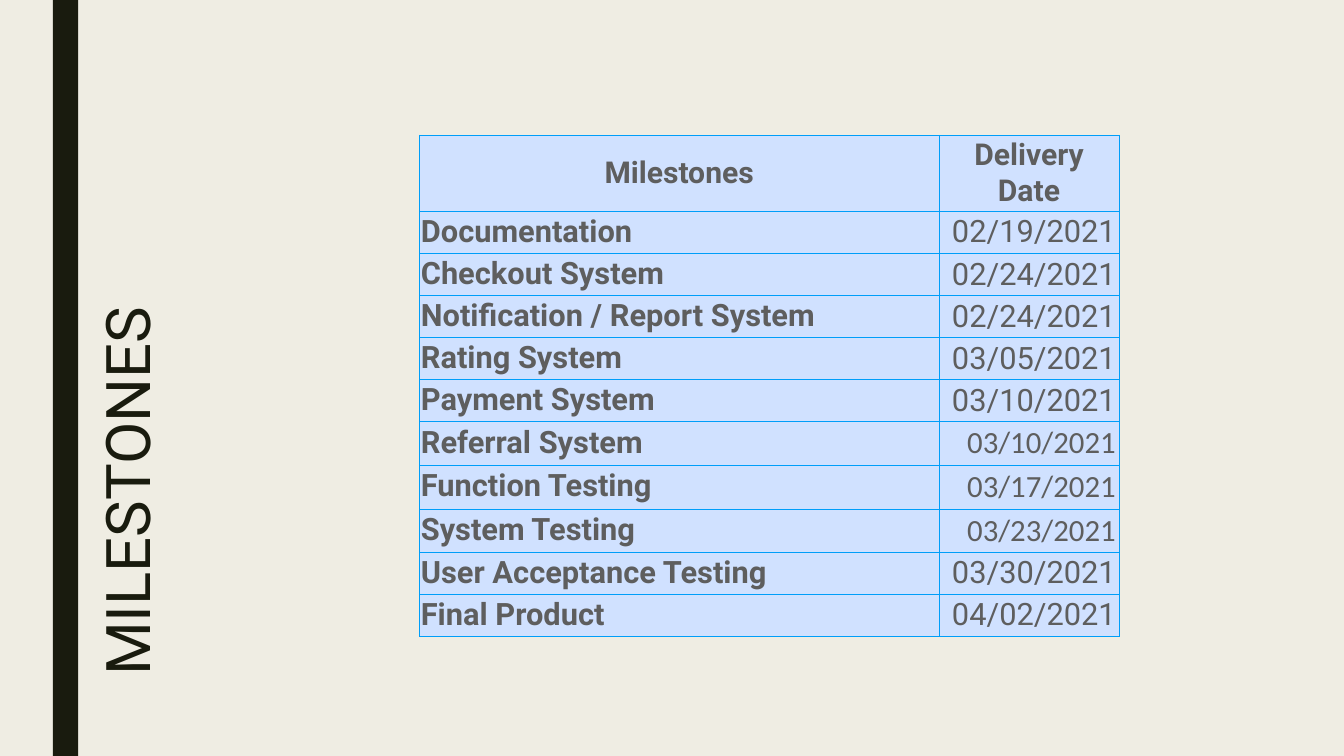
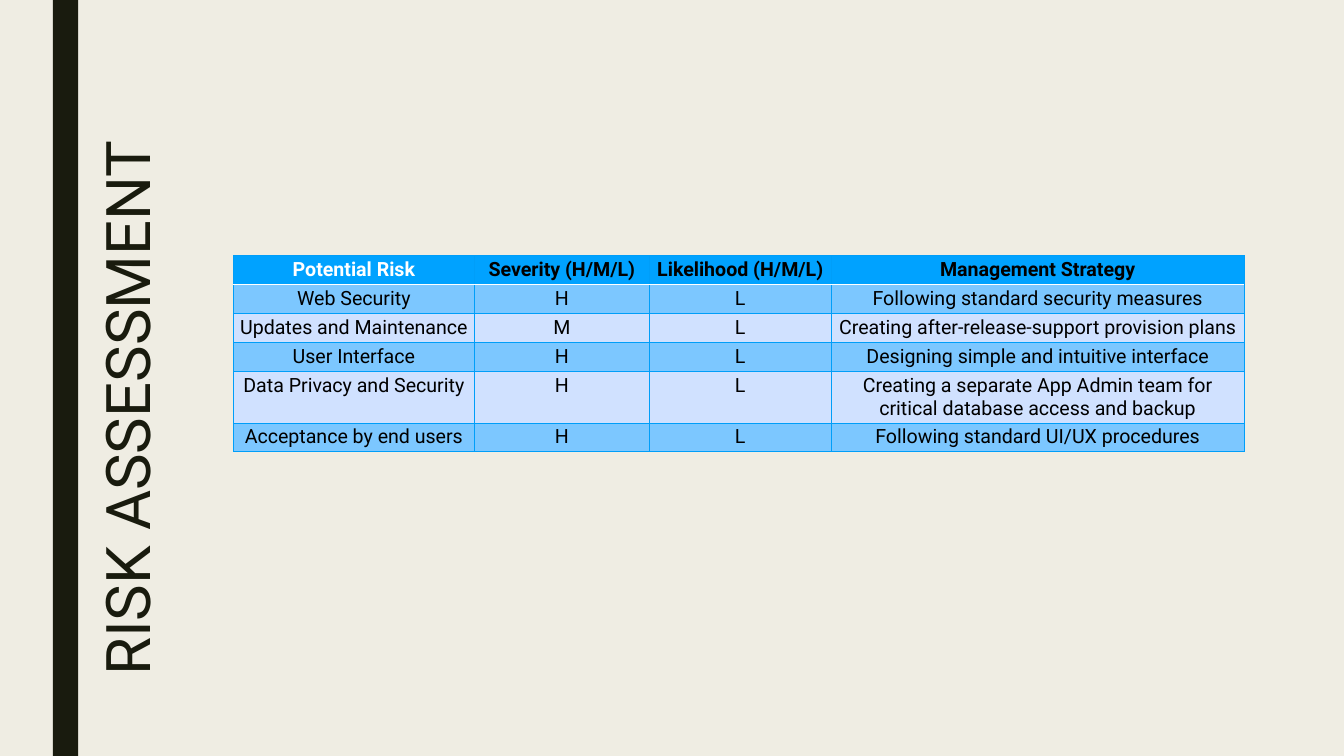
from pptx import Presentation
from pptx.dml.color import RGBColor
from pptx.enum.shapes import MSO_SHAPE
from pptx.enum.text import MSO_ANCHOR, MSO_AUTO_SIZE, PP_ALIGN
from pptx.oxml import parse_xml
from pptx.oxml.ns import nsdecls
from pptx.util import Pt

INK, PAPER, GREY = "191B0E", "EFEDE3", "5E5E5E"
BLACK, WHITE = "000000", "FFFFFF"
LINE, HEAD, BAND, PALE = "009EF9", "00A2FF", "7CC7FF", "D0E1FF"

MILESTONES = [
    ("Milestones", "Delivery Date"),
    ("Documentation", "02/19/2021"),
    ("Checkout System", "02/24/2021"),
    ("Notification / Report System", "02/24/2021"),
    ("Rating System", "03/05/2021"),
    ("Payment System", "03/10/2021"),
    ("Referral System", "03/10/2021"),
    ("Function Testing", "03/17/2021"),
    ("System Testing", "03/23/2021"),
    ("User Acceptance Testing", "03/30/2021"),
    ("Final Product", "04/02/2021"),
]
CALIBRI_ROWS = (6, 7, 8)

RISKS = [
    ("Potential Risk", "Severity (H/M/L)", "Likelihood (H/M/L)", "Management Strategy"),
    ("Web Security", "H", "L", "Following standard security measures"),
    ("Updates and Maintenance", "M", "L", "Creating after-release-support provision plans"),
    ("User Interface", "H", "L", "Designing simple and intuitive interface"),
    ("Data Privacy and Security", "H", "L",
     "Creating a separate App Admin team for critical database access and backup"),
    ("Acceptance by end users", "H", "L", "Following standard UI/UX procedures"),
]


def milestone_format(row, col):
    fmt = {"fill": PALE, "color": GREY, "size": 44, "bold": col == 0,
           "anchor": MSO_ANCHOR.MIDDLE, "align": PP_ALIGN.RIGHT}
    if row == 0:
        fmt.update(size=43, bold=True, align=PP_ALIGN.CENTER)
    elif col == 0:
        fmt.update(align=PP_ALIGN.LEFT, insets=(2.25, 0, 2.25, 2.25))
    elif row in CALIBRI_ROWS:
        fmt["font"] = "Calibri"
    return fmt


def risk_format(row, col):
    fmt = {"fill": BAND if row % 2 else PALE, "color": BLACK, "size": 28, "bold": row == 0,
           "anchor": MSO_ANCHOR.TOP, "align": PP_ALIGN.CENTER}
    if row == 0:
        fmt.update(fill=HEAD, color=BLACK if col else WHITE, borders={"B": (WHITE, 2)})
    elif row == 1:
        fmt["borders"] = {"T": (WHITE, 2)}
    return fmt


SLIDES = [
    {"title": "MILESTONES", "rows": MILESTONES, "format": milestone_format,
     "at": (599, 193), "cols": (742.5, 257), "heights": [109] + [60] * 10},
    {"title": "RISK ASSESSMENT", "rows": RISKS, "format": risk_format,
     "at": (333.5, 365), "cols": (344, 250.5, 259, 590.5),
     "heights": [41, 41, 41, 41, 74, 41]},
]


def rgb(value):
    return RGBColor.from_string(value)


def paint(fill, color):
    fill.solid()
    fill.fore_color.rgb = rgb(color)


def apply(obj, values):
    for name, value in values.items():
        setattr(obj, name, value)


def style_font(font, color, size, bold=False, name="Roboto"):
    apply(font, {"name": name, "size": Pt(size), "bold": bold})
    font.color.rgb = rgb(color)


def place(sp, left, top, width, height):
    apply(sp, {"left": Pt(left), "top": Pt(top), "width": Pt(width), "height": Pt(height)})


def add_borders(cell, special):
    tc_pr = cell._tc.get_or_add_tcPr()
    for i, side in enumerate("LRTB"):
        color, width = special.get(side, (LINE, 0.75))
        tc_pr.insert(i, parse_xml(
            f'<a:ln{side} {nsdecls("a")} w="{Pt(width)}"><a:solidFill>'
            f'<a:srgbClr val="{color}"/></a:solidFill></a:ln{side}>'))


def fill_cell(cell, text, fmt):
    left, top, right, bottom = map(Pt, fmt.get("insets", (4.25,) * 4))
    apply(cell, {"margin_left": left, "margin_top": top, "margin_right": right,
                 "margin_bottom": bottom, "vertical_anchor": fmt["anchor"]})
    paint(cell.fill, fmt["fill"])
    add_borders(cell, fmt.get("borders", {}))
    p = cell.text_frame.paragraphs[0]
    p.alignment = fmt["align"]
    r = p.add_run()
    r.text = text
    style_font(r.font, fmt["color"], fmt["size"], fmt["bold"], fmt.get("font", "Roboto"))


def add_side_bar(slide):
    sp = slide.shapes.add_shape(MSO_SHAPE.RECTANGLE, Pt(75.5), 0, Pt(36), prs.slide_height)
    sp.shadow.inherit = False
    paint(sp.fill, INK)
    sp.line.fill.background()


def set_title(slide, text):
    sp = slide.shapes.title
    place(sp, -254, 461.5, 898, 124.5)
    sp.rotation = 270
    tf = sp.text_frame
    apply(tf, {"word_wrap": True, "auto_size": MSO_AUTO_SIZE.NONE,
               "vertical_anchor": MSO_ANCHOR.TOP,
               "margin_left": Pt(7.2), "margin_right": Pt(7.2),
               "margin_top": Pt(7.2), "margin_bottom": Pt(7.2)})
    p = tf.paragraphs[0]
    apply(p, {"alignment": PP_ALIGN.LEFT, "line_spacing": 0.89})
    r = p.add_run()
    r.text = text
    style_font(r.font, INK, 88)


def add_grid(slide, data):
    rows, cols, heights = data["rows"], data["cols"], data["heights"]
    box = map(Pt, (*data["at"], sum(cols), sum(heights)))
    table = slide.shapes.add_table(len(rows), len(cols), *box).table
    apply(table, {"first_row": False, "horz_banding": False})
    for column, width in zip(table.columns, cols):
        column.width = Pt(width)
    for i, values in enumerate(rows):
        table.rows[i].height = Pt(heights[i])
        for j, text in enumerate(values):
            fill_cell(table.cell(i, j), text, data["format"](i, j))


prs = Presentation()
apply(prs, {"slide_width": Pt(1920), "slide_height": Pt(1080)})
paint(prs.slide_master.background.fill, PAPER)
for data in SLIDES:
    slide = prs.slides.add_slide(prs.slide_layouts.get_by_name("Title Only"))
    add_side_bar(slide)
    set_title(slide, data["title"])
    add_grid(slide, data)
prs.save("out.pptx")
